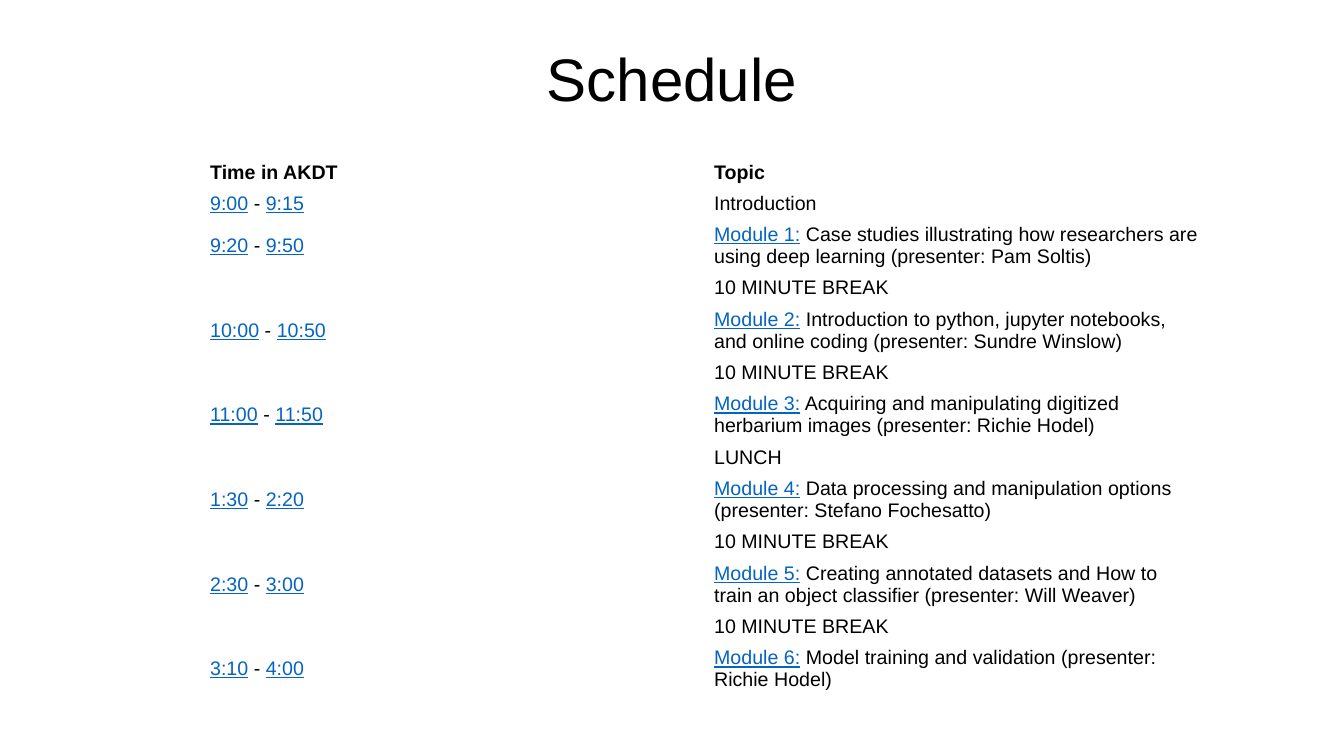
from pptx import Presentation
from pptx.dml.color import RGBColor
from pptx.enum.text import MSO_ANCHOR, PP_ALIGN
from pptx.util import Pt

CENTER = PP_ALIGN.CENTER
MIDDLE = MSO_ANCHOR.MIDDLE
TOP = MSO_ANCHOR.TOP

COLORS = {"text": "000000", "link": "0563C1", "cell": "FFFFFF"}
FONT = "Arial"
BODY_SIZE = 14
SHORT_ROW, TALL_ROW = 21.65, 37.28
CELL_FORMAT = {
    "vertical_anchor": MIDDLE,
    "margin_left": Pt(6.1),
    "margin_right": Pt(6.1),
    "margin_top": Pt(2.5),
    "margin_bottom": Pt(2.5),
}
BREAK = ("", "", "", "10 MINUTE BREAK")
SCHEDULE = [
    ("9:00", "9:15", "", "Introduction"),
    ("9:20", "9:50", "Module 1:", "Case studies illustrating how researchers are using deep learning (presenter: Pam Soltis)"),
    BREAK,
    ("10:00", "10:50", "Module 2:", "Introduction to python, jupyter notebooks, and online coding (presenter: Sundre Winslow)"),
    BREAK,
    ("11:00", "11:50", "Module 3:", "Acquiring and manipulating digitized herbarium images (presenter: Richie Hodel)"),
    ("", "", "", "LUNCH"),
    ("1:30", "2:20", "Module 4:", "Data processing and manipulation options (presenter: Stefano Fochesatto)"),
    BREAK,
    ("2:30", "3:00", "Module 5:", "Creating annotated datasets and How to train an object classifier (presenter: Will Weaver)"),
    BREAK,
    ("3:10", "4:00", "Module 6:", "Model training and validation (presenter: Richie Hodel)"),
]


def apply_format(target, values):
    """Set each named attribute on the target."""
    for name, value in values.items():
        setattr(target, name, value)


def add_span(para, text, size=BODY_SIZE, color="text", **extra):
    """Add one formatted run to a paragraph."""
    span = para.add_run()
    span.text = text
    apply_format(span.font, {"name": FONT, "size": Pt(size), "bold": False, **extra})
    span.font.color.rgb = RGBColor.from_string(COLORS[color])


def add_link(para, text):
    """Add a run styled as underlined link text."""
    add_span(para, text, color="link", underline=True)


def add_title(page, text):
    """Add the centred slide title."""
    box = page.shapes.add_textbox(Pt(120), Pt(32), Pt(720), Pt(116))
    apply_format(box.text_frame, {"word_wrap": True, "vertical_anchor": TOP})
    para = box.text_frame.paragraphs[0]
    apply_format(para, {"alignment": CENTER, "line_spacing": 0.9})
    add_span(para, text, size=42.9)


def style_cell(cell):
    """Format a table cell and return its paragraph."""
    apply_format(cell, CELL_FORMAT)
    cell.fill.solid()
    cell.fill.fore_color.rgb = RGBColor.from_string(COLORS["cell"])
    return cell.text_frame.paragraphs[0]


def fill_time(para, start, end):
    """Write a time range, or size an empty cell like the body text."""
    if not start:
        para._p.get_or_add_endParaRPr().set("sz", str(BODY_SIZE * 100))
        return
    add_link(para, start)
    add_span(para, " - ")
    add_link(para, end)


def fill_topic(para, module, topic):
    """Write a topic after its module link, if it has one."""
    if module:
        add_link(para, module)
        topic = " " + topic
    add_span(para, topic)


def add_schedule(page):
    """Add the table of times and topics."""
    heights = [SHORT_ROW] + [TALL_ROW if entry[2] else SHORT_ROW for entry in SCHEDULE]
    frame = page.shapes.add_table(len(heights), 2, Pt(144), Pt(112.5), Pt(720), Pt(sum(heights)))
    table = frame.table
    apply_format(table, {"first_row": False, "horz_banding": False})
    for row, height in zip(table.rows, heights):
        row.height = Pt(height)
    for cell, heading in zip(table.rows[0].cells, ("Time in AKDT", "Topic")):
        add_span(style_cell(cell), heading, bold=True)
    for index, (start, end, module, topic) in enumerate(SCHEDULE, 1):
        fill_time(style_cell(table.cell(index, 0)), start, end)
        fill_topic(style_cell(table.cell(index, 1)), module, topic)


def main():
    """Build and save the schedule slide."""
    deck = Presentation()
    apply_format(deck, {"slide_width": Pt(960), "slide_height": Pt(540)})
    page = deck.slides.add_slide(deck.slide_layouts[6])
    add_title(page, "Schedule")
    add_schedule(page)
    deck.save("out.pptx")


if __name__ == "__main__":
    main()
